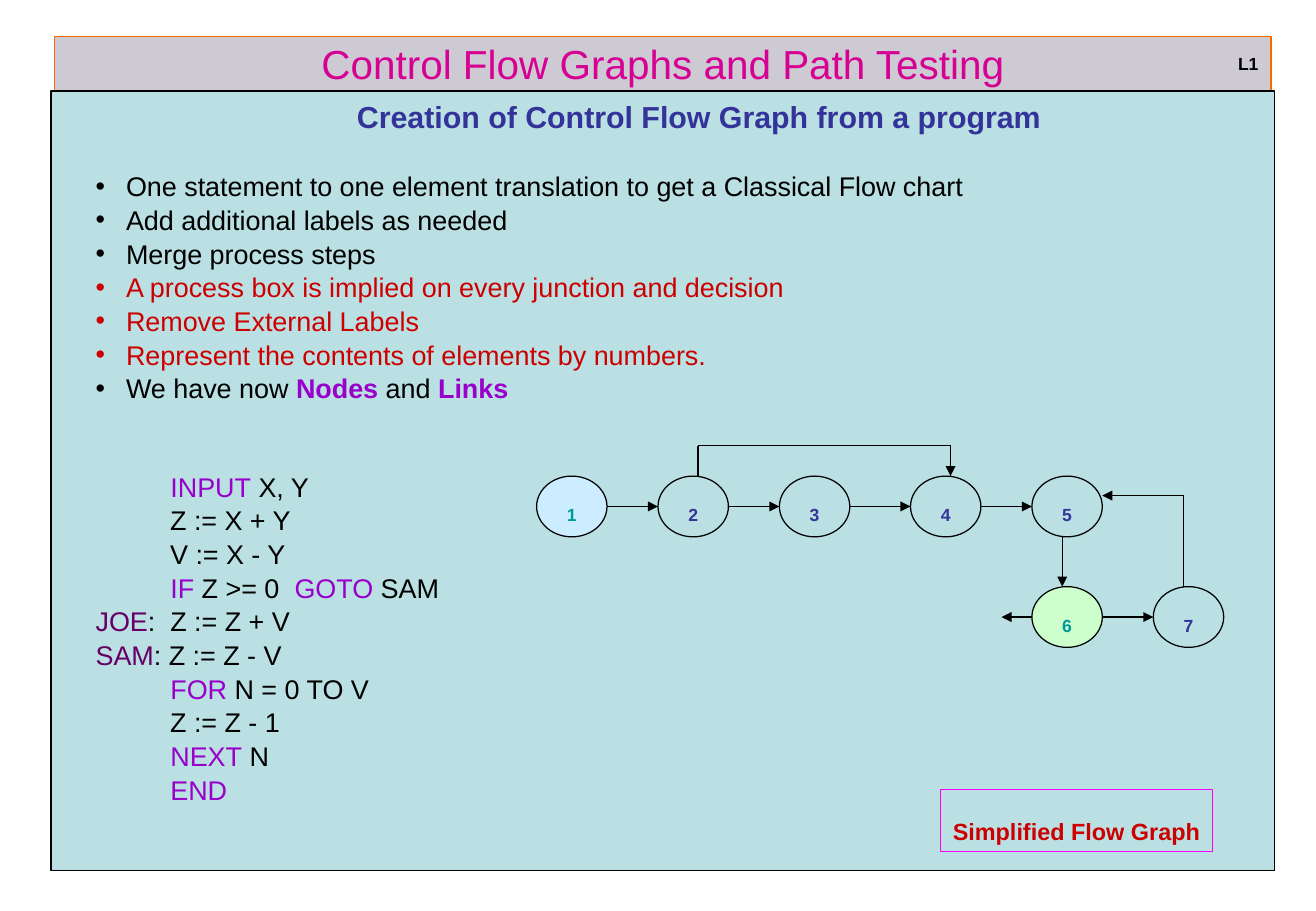
from lxml import etree
from pptx import Presentation
from pptx.dml.color import RGBColor
from pptx.enum.shapes import MSO_CONNECTOR, MSO_SHAPE
from pptx.enum.text import MSO_ANCHOR, PP_ALIGN
from pptx.oxml.ns import qn
from pptx.util import Inches, Pt

RECTANGLE, OVAL = MSO_SHAPE.RECTANGLE, MSO_SHAPE.OVAL
STRAIGHT = MSO_CONNECTOR.STRAIGHT
MIDDLE, CENTER, LEFT = MSO_ANCHOR.MIDDLE, PP_ALIGN.CENTER, PP_ALIGN.LEFT
BLACK, RED, PURPLE, PLUM = "000000", "CC0000", "9900CC", "660066"
NAVY, TEAL, PALE = "333399", "009999", "BBE0E3"
LOWERED = "-12000"


def color(hex_code):
    return RGBColor.from_string(hex_code)


def write(paragraph, runs, size, bold=False, baseline=None):
    for words, hex_code in runs:
        run = paragraph.add_run()
        run.text = words
        run.font.name = "Arial"
        run.font.size = Pt(size)
        run.font.bold = bold or words in ("Nodes", "Links")
        run.font.color.rgb = color(hex_code)
        if baseline:
            run._r.get_or_add_rPr().set("baseline", baseline)


deck = Presentation()
deck.slide_width, deck.slide_height = Inches(10.84), Inches(7.5)
slide = deck.slides.add_slide(deck.slide_layouts[5])
shapes = slide.shapes

title = shapes.title
title.left, title.top = Inches(0.45), Inches(0.3)
title.width, title.height = Inches(10.02), Inches(0.45)
title.fill.solid()
title.fill.fore_color.rgb = color("CECAD4")
title.line.color.rgb = color("FF6600")
title.line.width = Pt(0.75)
title.text_frame.vertical_anchor = MIDDLE
title.text_frame.paragraphs[0].alignment = CENTER
write(title.text_frame.paragraphs[0], [("Control Flow Graphs and Path Testing", "D60093")], 24)

panel = shapes.add_shape(RECTANGLE, Inches(0.42), Inches(0.75), Inches(10.08), Inches(6.42))
panel.shadow.inherit = False
panel.fill.solid()
panel.fill.fore_color.rgb = color(PALE)
panel.line.color.rgb = color(BLACK)
panel.line.width = Pt(0.75)

level = shapes.add_textbox(Inches(10.1), Inches(0.25), Inches(0.37), Inches(0.41))
level.text_frame.word_wrap = False
write(level.text_frame.paragraphs[0], [("L1", BLACK)], 18, True, LOWERED)

steps = [
    [("One statement to one element translation to get a Classical Flow chart", BLACK)],
    [("Add additional labels as needed", BLACK)],
    [("Merge process steps", BLACK)],
    [("A process box is implied on every junction and decision", RED)],
    [("Remove External Labels", RED)],
    [("Represent the contents of elements by numbers.", RED)],
    [("We have now ", BLACK), ("Nodes", PURPLE), (" and ", BLACK), ("Links", PURPLE)],
]
program = [
    [("          ", BLACK), ("INPUT", PURPLE), (" X, Y", BLACK)],
    [("          Z := X + Y", BLACK)],
    [("          V := X - Y", BLACK)],
    [("          ", BLACK), ("IF", PURPLE), (" Z >= 0  ", BLACK), ("GOTO", PURPLE), (" SAM", BLACK)],
    [("JOE", PLUM), (":  Z := Z + V", BLACK)],
    [("SAM", PLUM), (": Z := Z - V", BLACK)],
    [("          ", BLACK), ("FOR", PURPLE), (" N = 0 TO V", BLACK)],
    [("          Z := Z - 1", BLACK)],
    [("          ", BLACK), ("NEXT", PURPLE), (" N", BLACK)],
    [("          ", BLACK), ("END", PURPLE)],
]

body = shapes.add_textbox(Inches(0.5), Inches(0.76), Inches(10.33), Inches(5.73)).text_frame
body.word_wrap = True
heading = body.paragraphs[0]
heading.alignment = CENTER
heading_indent = heading._p.get_or_add_pPr()
heading_indent.set("marL", str(Inches(0.38)))
heading_indent.set("indent", str(Inches(-0.19)))
write(heading, [("Creation of Control Flow Graph from a program", NAVY)], 18, True)

for lines, gap, margin, hanging, bulleted in (
    (steps, 20, 0.44, -0.25, True),
    (program, 38.4, 0.38, -0.19, False),
):
    for index, runs in enumerate(lines):
        paragraph = body.add_paragraph()
        paragraph.alignment = LEFT
        paragraph.line_spacing = 1.04
        paragraph.space_before = Pt(0 if index else gap)
        properties = paragraph._p.get_or_add_pPr()
        properties.set("marL", str(Inches(margin)))
        properties.set("indent", str(Inches(hanging)))
        if bulleted:
            bullet_color = etree.SubElement(properties, qn("a:buClr"))
            etree.SubElement(bullet_color, qn("a:srgbClr")).set("val", runs[0][1])
            etree.SubElement(properties, qn("a:buFont")).set("typeface", "Arial")
            etree.SubElement(properties, qn("a:buChar")).set("char", "•")
        write(paragraph, runs, 16)

caption = shapes.add_textbox(Inches(7.75), Inches(6.5), Inches(2.24), Inches(0.51))
caption.line.color.rgb = color("FF00FF")
caption.line.width = Pt(0.75)
caption.text_frame.word_wrap = False
write(caption.text_frame.paragraphs[0], [("Simplified Flow Graph", RED)], 24, True, LOWERED)

node_width, node_height = 0.58, 0.5
columns = [4.42, 5.42, 6.42, 7.5, 8.5, 9.5]
upper, lower = 3.92, 4.83
nodes = [(left, upper) for left in columns[:5]] + [(left, lower) for left in columns[4:]]
end_fills = {1: "CCECFF", 6: "CCFFCC"}

for number, (left, top) in enumerate(nodes, 1):
    node = shapes.add_shape(OVAL, Inches(left), Inches(top), Inches(node_width), Inches(node_height))
    node.shadow.inherit = False
    node.fill.solid()
    node.fill.fore_color.rgb = color(end_fills.get(number, PALE))
    node.line.color.rgb = color(BLACK)
    node.line.width = Pt(0.75)
    node.text_frame.word_wrap = False
    node.text_frame.vertical_anchor = MIDDLE
    node.text_frame.paragraphs[0].alignment = CENTER
    digit_color = TEAL if number in end_fills else NAVY
    write(node.text_frame.paragraphs[0], [(str(number), digit_color)], 18, True, LOWERED)

upper_axis, lower_axis = upper + node_height / 2, lower + node_height / 2
skip_height, loop_height = upper - 0.25, upper + 0.16
links = [
    [(left + node_width, upper_axis), (following, upper_axis)]
    for left, following in zip(columns[:4], columns[1:5])
]
links += [
    [(5.75, upper), (5.75, skip_height), (7.83, skip_height), (7.83, upper)],
    [(8.75, upper + node_height), (8.75, lower)],
    [(columns[4] + node_width, lower_axis), (columns[5], lower_axis)],
    [(9.75, lower), (9.75, loop_height), (columns[4] + node_width, loop_height)],
    [(columns[4], lower_axis), (columns[4] - 0.25, lower_axis)],
]

for corners in links:
    for start, end in zip(corners, corners[1:]):
        link = shapes.add_connector(STRAIGHT, *(Inches(value) for value in start + end))
        link.line.color.rgb = color(BLACK)
        link.line.width = Pt(0.75)
        if end == corners[-1]:
            etree.SubElement(link.line._get_or_add_ln(), qn("a:tailEnd")).set("type", "triangle")
        etree.SubElement(link._element.spPr, qn("a:effectLst"))

deck.save("out.pptx")
